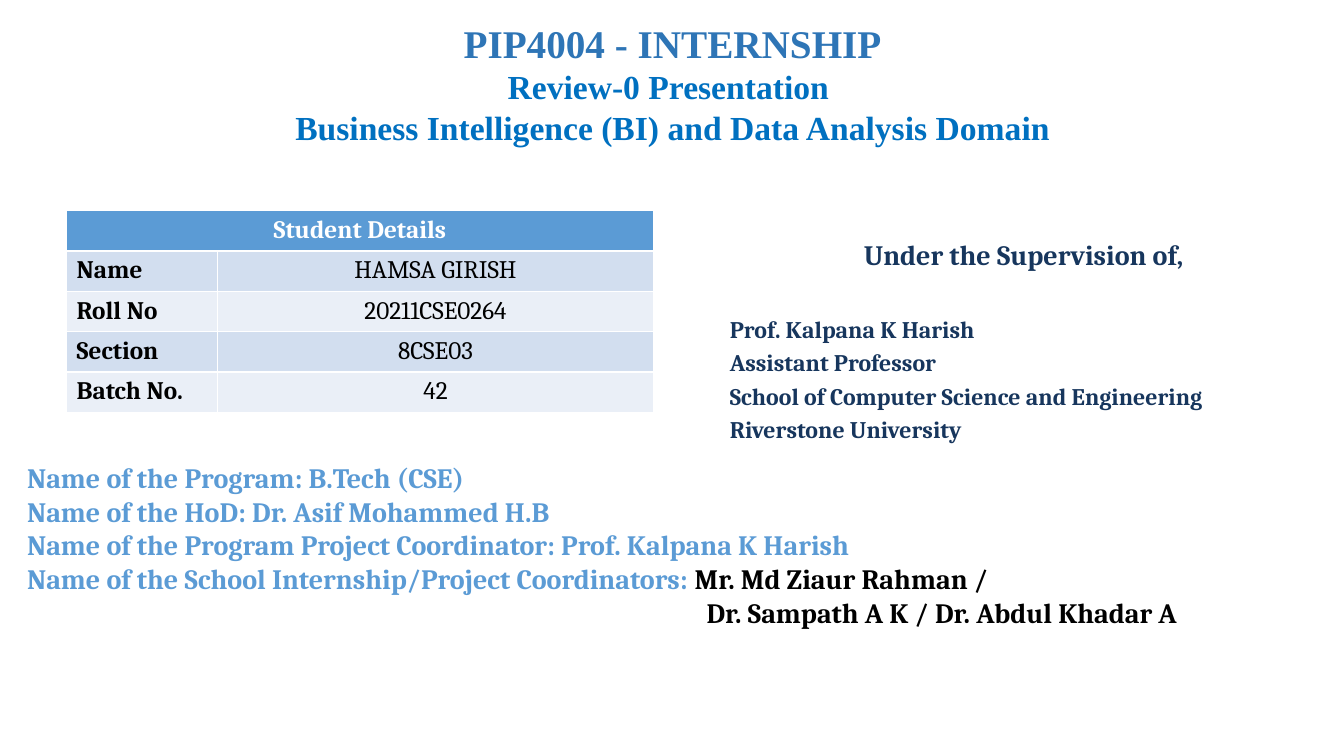
import pptx
import pptx.util
import pptx.dml.color
import pptx.enum.text

Inches = pptx.util.Inches
Pt = pptx.util.Pt
ALIGN = pptx.enum.text.PP_ALIGN
ANCHOR = pptx.enum.text.MSO_ANCHOR

SERIF = "Cambria"
NAVY, SKY, BLACK, WHITE = "17365D", "5B9BD5", "000000", "FFFFFF"
BANDS = ["D2DEEF", "EAEFF7"]

TITLE = [
    ("PIP4004 - INTERNSHIP", 28, "2E75B6"),
    ("Review-0 Presentation ", 24, "0070C0"),
    ("Business Intelligence (BI) and Data Analysis Domain", 24, "0070C0"),
]
STUDENT_HEADING = "Student Details"
STUDENT = [
    ("Name", "HAMSA GIRISH"),
    ("Roll No", "20211CSE0264"),
    ("Section", "8CSE03"),
    ("Batch No.", "42"),
]
SUPERVISOR_HEADING = "Under the Supervision of,"
SUPERVISOR = [
    "Prof. Kalpana K Harish",
    "Assistant Professor",
    "School of Computer Science and Engineering",
    "Riverstone University",
]
PROGRAM = [
    [("Name of the Program: B.Tech (CSE)", SKY)],
    [("Name of the HoD: Dr. Asif Mohammed H.B", SKY)],
    [("Name of the Program Project Coordinator: Prof. Kalpana K Harish", SKY)],
    [("Name of the School Internship/Project Coordinators: ", SKY),
     ("Mr. Md Ziaur Rahman /", BLACK)],
    [("Dr. Sampath A K / Dr. Abdul Khadar A", BLACK)],
]
COORDINATOR_INDENT = 6.74


def rgb(value):
    return pptx.dml.color.RGBColor.from_string(value)


def style_run(r, size, color, font=SERIF, bold=True):
    r.font.size = Pt(size)
    r.font.name = font
    r.font.bold = bold
    r.font.color.rgb = rgb(color)


def write(p, text, size, color, align=ALIGN.LEFT, font=SERIF, bold=True):
    p.text = text
    p.alignment = align
    style_run(p.runs[0], size, color, font, bold)


def next_paragraph(tf, i):
    return tf.add_paragraph() if i else tf.paragraphs[0]


def add_text(s, left, top, width, height):
    tf = s.shapes.add_textbox(Inches(left), Inches(top), Inches(width), Inches(height)).text_frame
    tf.word_wrap = True
    return tf


def add_title(s):
    sp = s.shapes.title
    sp.left, sp.top, sp.width, sp.height = [Inches(v) for v in (0.92, 0.14, 11.5, 1.71)]
    tf = sp.text_frame
    tf.vertical_anchor = ANCHOR.TOP
    for i, (text, size, color) in enumerate(TITLE):
        write(next_paragraph(tf, i), text, size, color, ALIGN.CENTER, "Times New Roman")


def add_student_table(s):
    rows = len(STUDENT) + 1
    table = s.shapes.add_table(rows, 2, Inches(0.66), Inches(2.09),
                               Inches(5.82), Inches(0.4 * rows)).table
    table.columns[0].width = Inches(1.5)
    table.columns[1].width = Inches(4.32)
    heading = table.cell(0, 0)
    heading.merge(table.cell(0, 1))
    heading.fill.solid()
    heading.fill.fore_color.rgb = rgb(SKY)
    write(heading.text_frame.paragraphs[0], STUDENT_HEADING, 18, WHITE, ALIGN.CENTER)
    for i, values in enumerate(STUDENT):
        for j, text in enumerate(values):
            cell = table.cell(i + 1, j)
            cell.fill.solid()
            cell.fill.fore_color.rgb = rgb(BANDS[i % 2])
            write(cell.text_frame.paragraphs[0], text, 18, BLACK,
                  ALIGN.CENTER if j else ALIGN.LEFT, bold=j == 0)


def add_supervisor(s):
    tf = add_text(s, 7.14, 2.31, 6.03, 2.21)
    write(tf.paragraphs[0], SUPERVISOR_HEADING, 20, NAVY, ALIGN.CENTER)
    for i, text in enumerate(SUPERVISOR):
        p = tf.add_paragraph()
        write(p, text, 17, NAVY)
        p.space_before = Pt(3.4 if i else 31)


def add_program(s):
    tf = add_text(s, 0.17, 4.52, 13, 1.71)
    for i, parts in enumerate(PROGRAM):
        p = next_paragraph(tf, i)
        for text, color in parts:
            r = p.add_run()
            r.text = text
            style_run(r, 20, color)
    p._p.get_or_add_pPr().set("marL", str(Inches(COORDINATOR_INDENT)))


def main():
    prs = pptx.Presentation()
    prs.slide_width, prs.slide_height = Inches(13.33), Inches(7.5)
    s = prs.slides.add_slide(prs.slide_layouts[5])
    add_title(s)
    add_student_table(s)
    add_supervisor(s)
    add_program(s)
    prs.save("out.pptx")


if __name__ == "__main__":
    main()
